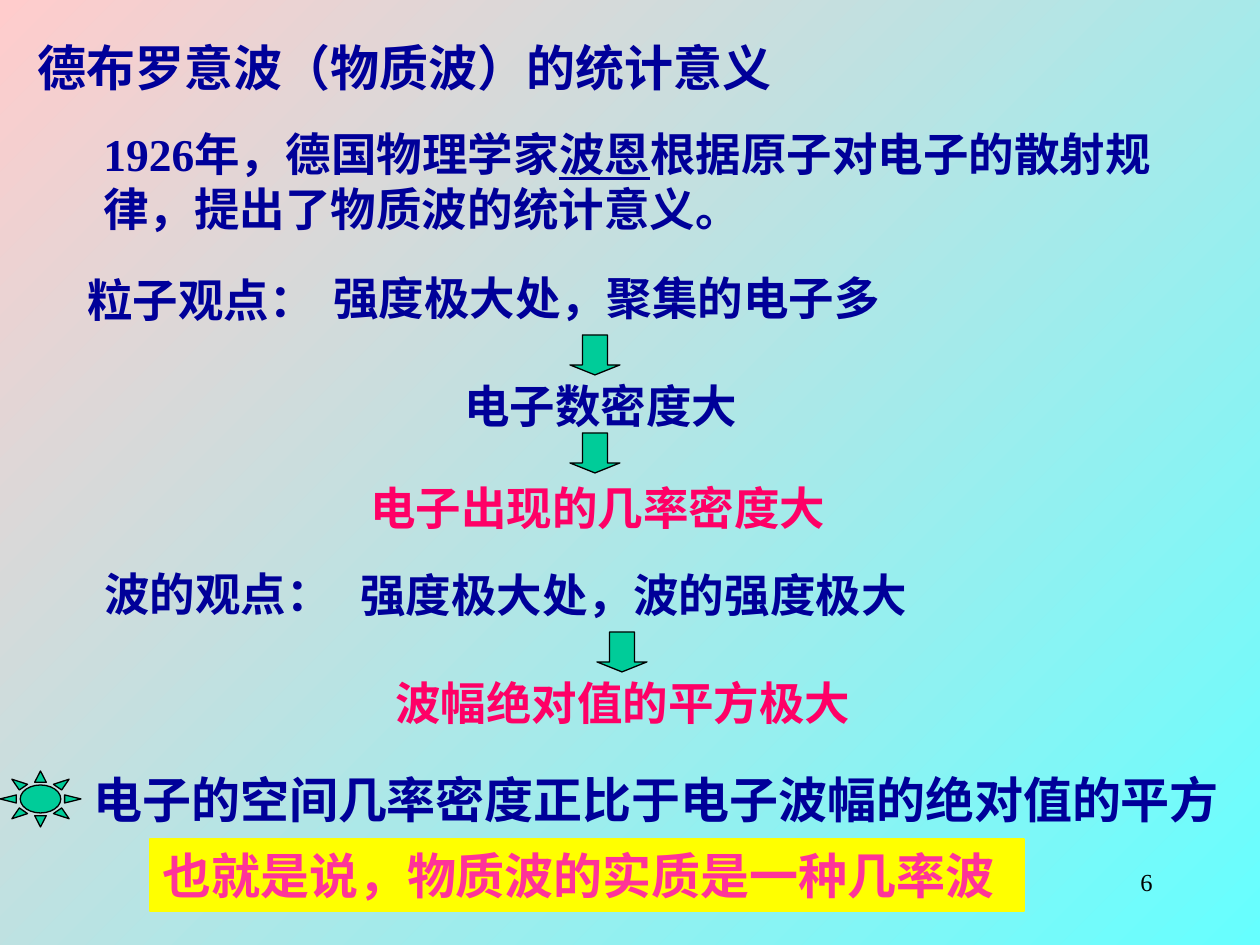
from pptx import Presentation
from pptx.dml.color import RGBColor
from pptx.enum.shapes import MSO_SHAPE
from pptx.enum.text import MSO_ANCHOR, MSO_AUTO_SIZE, PP_ALIGN
from pptx.util import Pt

SCALE = 914400 / 126
FONT = "Times New Roman"
DOWN_ARROW, SUN, RECTANGLE = MSO_SHAPE.DOWN_ARROW, MSO_SHAPE.SUN, MSO_SHAPE.RECTANGLE
TOP = MSO_ANCHOR.TOP
FIT_SHAPE = MSO_AUTO_SIZE.SHAPE_TO_FIT_TEXT
LEFT, RIGHT = PP_ALIGN.LEFT, PP_ALIGN.RIGHT
COLORS = {
    "pink": "FFCCCC",
    "cyan": "66FFFF",
    "navy": "000099",
    "red": "FF0066",
    "magenta": "FF3399",
    "green": "00CC99",
    "yellow": "FFFF00",
    "black": "000000",
}


def px(length):
    """Turn px into EMU."""
    return round(length * SCALE)


def rgb(name):
    """Look up a colour by name."""
    return RGBColor.from_string(COLORS[name])


def write_text(shape, text, size=26, color="navy", bold=True, align=LEFT,
               wrap=True, underlined=""):
    """Write one paragraph, underlining the given words."""
    frame = shape.text_frame
    frame.word_wrap = wrap
    frame.auto_size = FIT_SHAPE
    frame.vertical_anchor = TOP
    paragraph = frame.paragraphs[0]
    paragraph.alignment = align
    parts = text.partition(underlined) if underlined else [text]
    for part in parts:
        run = paragraph.add_run()
        run.text = part
        run.font.name = FONT
        run.font.size = Pt(size)
        run.font.bold = bold
        run.font.color.rgb = rgb(color)
        if part == underlined:
            run.font.underline = True


def add_text(slide, box, text, **text_format):
    """Add a text box in the given box."""
    shape = slide.shapes.add_textbox(*map(px, box))
    write_text(shape, text, **text_format)


def add_figure(slide, kind, box, fill="green", line="black"):
    """Add a filled and outlined preset shape."""
    shape = slide.shapes.add_shape(kind, *map(px, box))
    shape.shadow.inherit = False
    shape.fill.solid()
    shape.fill.fore_color.rgb = rgb(fill)
    shape.line.color.rgb = rgb(line)
    shape.line.width = Pt(0.75)
    return shape


def paint_background(slide):
    """Fill the background with a diagonal gradient."""
    fill = slide.background.fill
    fill.gradient()
    fill.gradient_angle = 315
    for stop, color, position in zip(fill.gradient_stops, ("pink", "cyan"), (0, 1)):
        stop.color.rgb = rgb(color)
        stop.position = position


def add_introduction(slide, left, top):
    """Add the title and the historical introduction."""
    add_text(slide, (left, top, 796, 72), "德布罗意波（物质波）的统计意义", size=28)
    add_text(slide, (left + 66, top + 89, 1080, 122),
             "1926年，德国物理学家波恩根据原子对电子的散射规律，提出了物质波的统计意义。",
             underlined="波恩")


def add_viewpoint(slide, left, top, label, label_offset, statement, steps):
    """Add a labelled statement and the steps that follow from it."""
    label_left, label_top = label_offset
    add_text(slide, (left + label_left, top + label_top, 255, 68), label, wrap=False)
    add_text(slide, (left, top, 574, 68), statement, wrap=False)
    for text, color, step_left, step_top, width, arrow_top in steps:
        arrow = add_figure(slide, DOWN_ARROW, (left + 249, top + arrow_top, 50, 40))
        arrow.adjustments[1] = 0.25
        add_text(slide, (left + step_left, top + step_top, width, 68), text,
                 color=color, wrap=False)


def add_conclusion(slide, left, top):
    """Add the sun marker, the conclusion and the highlighted remark."""
    add_figure(slide, SUN, (left, top + 8, 81, 56))
    add_text(slide, (left + 81, top, 1176, 72),
             "电子的空间几率密度正比于电子波幅的绝对值的平方", size=28)
    remark = add_figure(slide, RECTANGLE, (left + 150, top + 76, 874, 72),
                        fill="yellow", line="yellow")
    write_text(remark, "也就是说，物质波的实质是一种几率波", size=28, color="magenta")


def main():
    """Build and save the slide."""
    presentation = Presentation()
    presentation.slide_width, presentation.slide_height = px(1260), px(945)
    slide = presentation.slides.add_slide(presentation.slide_layouts[6])
    paint_background(slide)
    add_text(slide, (903, 861, 262, 63), "6", size=14, color="black",
             bold=False, align=RIGHT)
    add_introduction(slide, 25, 31)
    add_viewpoint(slide, 321, 264, "粒子观点：", (-246, 2), "强度极大处，聚集的电子多", [
        ("电子数密度大", "navy", 131, 108, 302, 71),
        ("电子出现的几率密度大", "red", 37, 210, 492, 169),
    ])
    add_viewpoint(slide, 348, 561, "波的观点：", (-256, -1), "强度极大处，波的强度极大", [
        ("波幅绝对值的平方极大", "red", 35, 108, 492, 71),
    ])
    add_conclusion(slide, 0, 763)
    presentation.save("out.pptx")


if __name__ == "__main__":
    main()
